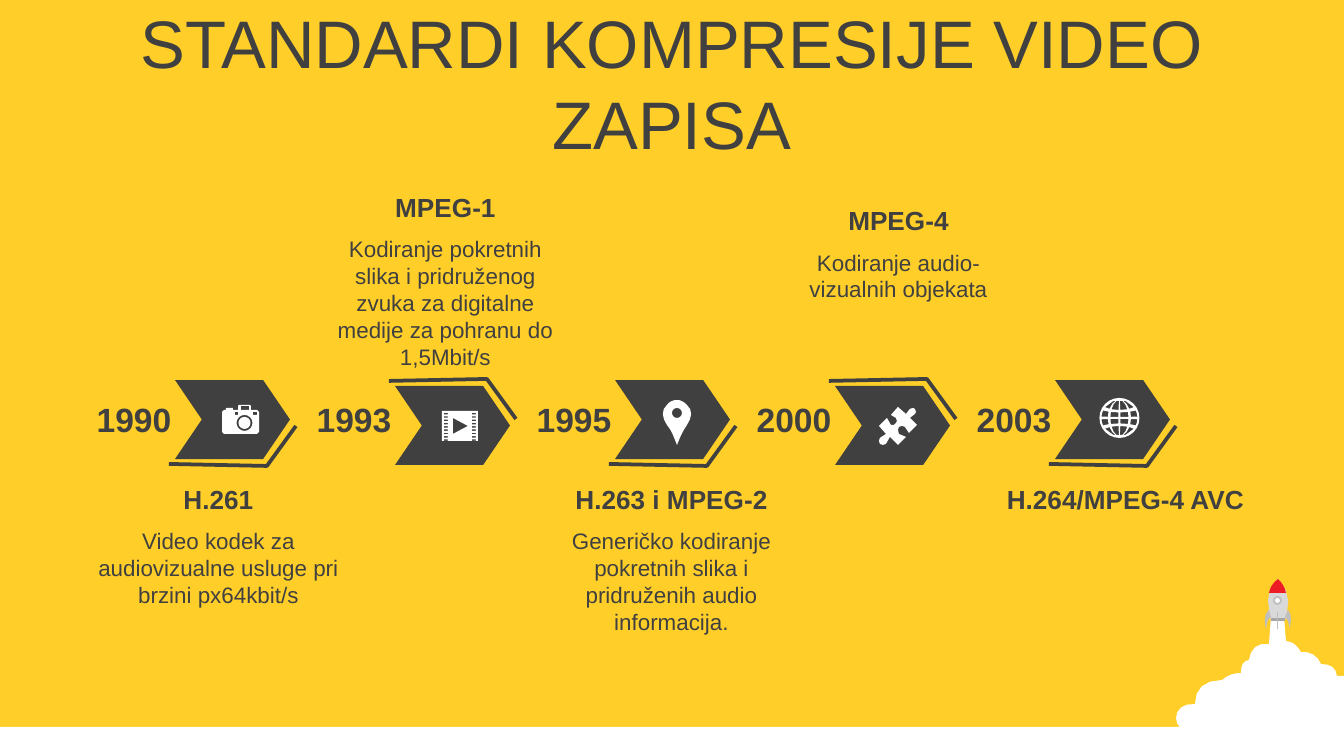
from math import cos, pi, sin, sqrt

from pptx import Presentation
from pptx.dml.color import RGBColor
from pptx.enum.shapes import MSO_SHAPE
from pptx.enum.text import MSO_ANCHOR, PP_ALIGN
from pptx.util import Pt

PX = 914400 / 134.4
FONT = "Arial"
COLORS = {
    "background": "FFCE29", "dark": "404040", "white": "FFFFFF",
    "hull": "D9D9D9", "nozzle": "A6A6A6", "nose": "ED1C24", "fin": "BFBFBF",
}
TITLE = "STANDARDI KOMPRESIJE VIDEO ZAPISA"
MILESTONES = [
    ("1990", "H.261", "Video kodek za audiovizualne usluge pri brzini px64kbit/s", 85, 477),
    ("1993", "MPEG-1", "Kodiranje pokretnih slika i pridruženog zvuka za digitalne "
     "medije za pohranu do 1,5Mbit/s", 312, 185),
    ("1995", "H.263 i MPEG-2", "Generičko kodiranje pokretnih slika i pridruženih audio "
     "informacija.", 538, 477),
    ("2000", "MPEG-4", "Kodiranje audio-vizualnih objekata", 765, 198),
    ("2003", "H.264/MPEG-4 AVC", "", 992, 477),
]
PITCH = 220
MIRROR = 845
CHEVRON = (175, 380, 115, 79)
TRIM = [(296, 426), (267, 466), (169, 464)]

CLOUD = """M 1271 617 L 1284 617 L 1286 641 C 1293 642 1297 645 1301 652
C 1310 651 1318 656 1321 664 C 1331 664 1336 668 1337 676 L 1344 676 L 1344 754
L 1191 754 L 1191 732 C 1183 732 1176 726 1176 718 C 1176 710 1183 703 1195 704
C 1195 689 1204 680 1222 680 C 1228 675 1234 673 1241 673
C 1241 665 1243 661 1249 660 C 1250 649 1258 642 1269 644"""
ROCKET = [
    (CLOUD, "white"),
    ("M 1271 621 C 1269 609 1263 591 1278 579 C 1293 593 1288 610 1285 621", "hull"),
    ("M 1271 618 L 1285 618 L 1285 621 L 1271 621", "nozzle"),
    ("M 1278 579 C 1282 583 1285 587 1286 593 L 1269 593 C 1270 587 1273 583 1278 579", "nose"),
    ("M 1269 610 L 1271 617 C 1266 620 1267 626 1266 629 C 1265 625 1263 614 1269 610", "fin"),
    ("M 1288 610 L 1285 617 C 1289 620 1289 626 1290 629 C 1290 625 1293 614 1288 610", "fin"),
]
CAMERA = """M 239 405 L 250 405 L 251 406 L 251 410 L 257 410 L 259 412 L 259 432 L 257 434
L 224 434 L 222 432 L 222 412 L 224 410 L 226 410 L 226 408 L 233 408 L 233 410
L 238 410 L 238 406 M 241 406 L 249 406 L 249 410 L 241 410
M 235 412 L 238 412 L 238 415 L 235 415 M 253 412 L 257 412 L 257 415 L 253 415"""
PIN = """M 677 400 C 681 400 684 402 687 405 C 693 410 692 418 687 425
C 683 431 681 435 677 445 C 673 435 672 431 667 425 C 662 418 661 410 667 405
C 669 402 673 400 677 400"""
PUZZLE = """M 915 409 L 916 412 L 915 414 L 910 418 L 917 425 L 909 433 L 905 427
L 902 426 L 899 427 L 898 430 L 899 434 L 906 437 L 898 445 L 890 437 L 886 444
L 883 445 L 880 444 L 879 441 L 880 438 L 886 434 L 879 426 L 887 418 L 891 425
L 894 425 L 896 423 L 897 421 L 896 418 L 891 415 L 898 407 L 906 414 L 910 409
L 913 408"""


def emu(*lengths):
    return [round(length * PX) for length in lengths]


def color(name):
    return RGBColor.from_string(COLORS[name])


def bezier(start, a, b, end, steps=4):
    for step in range(1, steps + 1):
        t = step / steps
        weights = ((1 - t) ** 3, 3 * t * (1 - t) ** 2, 3 * t * t * (1 - t), t ** 3)
        yield tuple(sum(w * p[axis] for w, p in zip(weights, (start, a, b, end)))
                    for axis in (0, 1))


def trace(outline):
    contours = []
    for contour in outline.split("M")[1:]:
        points = []
        for command in ("L" + contour).replace("L", "|L").replace("C", "|C").split("|")[1:]:
            numbers = [int(n) for n in command[1:].split()]
            pairs = list(zip(numbers[::2], numbers[1::2]))
            points += bezier(points[-1], *pairs) if command[0] == "C" else pairs
        contours.append(points)
    return contours


def circle(x, y, radius, steps=16):
    angles = [2 * pi * step / steps for step in range(steps)]
    return [(x + radius * cos(a), y + radius * sin(a)) for a in angles]


def box(x, y, width, height):
    return [(x, y), (x + width, y), (x + width, y + height), (x, y + height)]


def globe_cell(x, y, west, east, north, south):
    middle = (north + south) / 2
    rim = [(west, north), (east, north), (east, middle),
           (east, south), (west, south), (west, middle)]
    points = []
    for a, b in rim:
        dy = max(-17, min(17, b * (1 + 0.35 * (a / 18) ** 2)))
        points.append((x + a * sqrt(1 - (dy / 18) ** 2), y + dy))
    return points


def globe(x, y):
    columns = [(-18, -11.5), (-9, -1), (1, 9), (11.5, 18)]
    rows = [(-17, -8), (-5.5, -1), (1, 5.5), (8, 17)]
    return [circle(x, y, 20, 24)] + [globe_cell(x, y, *c, *r) for c in columns for r in rows]


def film(x, y):
    holes = [box(x + dx, y + 2 + 3.3 * row, 4, 1.5) for dx in (2, 30) for row in range(9)]
    return [box(x, y, 36, 30), [(x + 11, y + 7), (x + 11, y + 23), (x + 26, y + 15)]] + holes


def paint(shape, fill):
    shape.shadow.inherit = False
    shape.fill.solid()
    shape.fill.fore_color.rgb = color(fill)
    shape.line.fill.background()
    return shape


def draw(shapes, contours, closed=True):
    builder = None
    for contour in contours:
        start, *rest = [emu(*point) for point in contour]
        if builder is None:
            builder = shapes.build_freeform(*start, scale=1.0)
        else:
            builder.move_to(*start)
        builder.add_line_segments(rest, close=closed)
    return builder.convert_to_shape()


def write(shapes, text, place, size, bold=False, anchor=MSO_ANCHOR.TOP):
    frame = shapes.add_textbox(*emu(*place)).text_frame
    frame.word_wrap = True
    frame.vertical_anchor = anchor
    paragraph = frame.paragraphs[0]
    paragraph.text = text
    paragraph.alignment = PP_ALIGN.CENTER
    font = paragraph.font
    font.name, font.size, font.bold = FONT, Pt(size), bold
    font.color.rgb = color("dark")


def main():
    deck = Presentation()
    deck.slide_width, deck.slide_height = emu(1344, 756)
    slide = deck.slides.add_slide(deck.slide_layouts[6])
    slide.background.fill.solid()
    slide.background.fill.fore_color.rgb = color("background")
    shapes = slide.shapes

    paint(shapes.add_shape(MSO_SHAPE.RECTANGLE, *emu(0, 727, 1344, 29)), "white")
    for outline, fill in ROCKET:
        paint(draw(shapes, trace(outline)), fill)
    paint(shapes.add_shape(MSO_SHAPE.RECTANGLE, *emu(1277, 612, 1, 17)), "fin")
    porthole = paint(shapes.add_shape(MSO_SHAPE.OVAL, *emu(1274, 597, 7, 7)), "white")
    porthole.line.color.rgb = color("fin")
    porthole.line.width = Pt(1)

    write(shapes, TITLE, (0, 40, 1344, 85), 36, anchor=MSO_ANCHOR.MIDDLE)

    for index, (year, standard, summary, left, top) in enumerate(MILESTONES):
        shift, raised = index * PITCH, index % 2
        x, y, width, height = CHEVRON
        y = MIRROR - y - height if raised else y
        chevron = shapes.add_shape(MSO_SHAPE.CHEVRON, *emu(x + shift, y, width, height))
        chevron.adjustments[0] = 0.34
        paint(chevron, "dark")
        corners = [(cx + shift, MIRROR - cy if raised else cy) for cx, cy in TRIM]
        trim = draw(shapes, [corners], closed=False)
        trim.shadow.inherit = False
        trim.fill.background()
        trim.line.color.rgb = color("dark")
        trim.line.width = Pt(2)
        write(shapes, year, (74 + shift, 392, 120, 54), 18, True, MSO_ANCHOR.MIDDLE)
        write(shapes, standard, (left, top, 267, 45), 14, True)
        if summary:
            write(shapes, summary, (left, top + 44, 267, 95), 12)

    icons = [
        trace(CAMERA) + [circle(244.5, 423, 8), circle(244.5, 423, 6)],
        film(442, 411),
        trace(PIN) + [circle(677, 413, 5)],
        trace(PUZZLE),
        globe(1119.5, 418),
    ]
    for icon in icons:
        paint(draw(shapes, icon), "white")

    deck.save("out.pptx")


if __name__ == "__main__":
    main()
